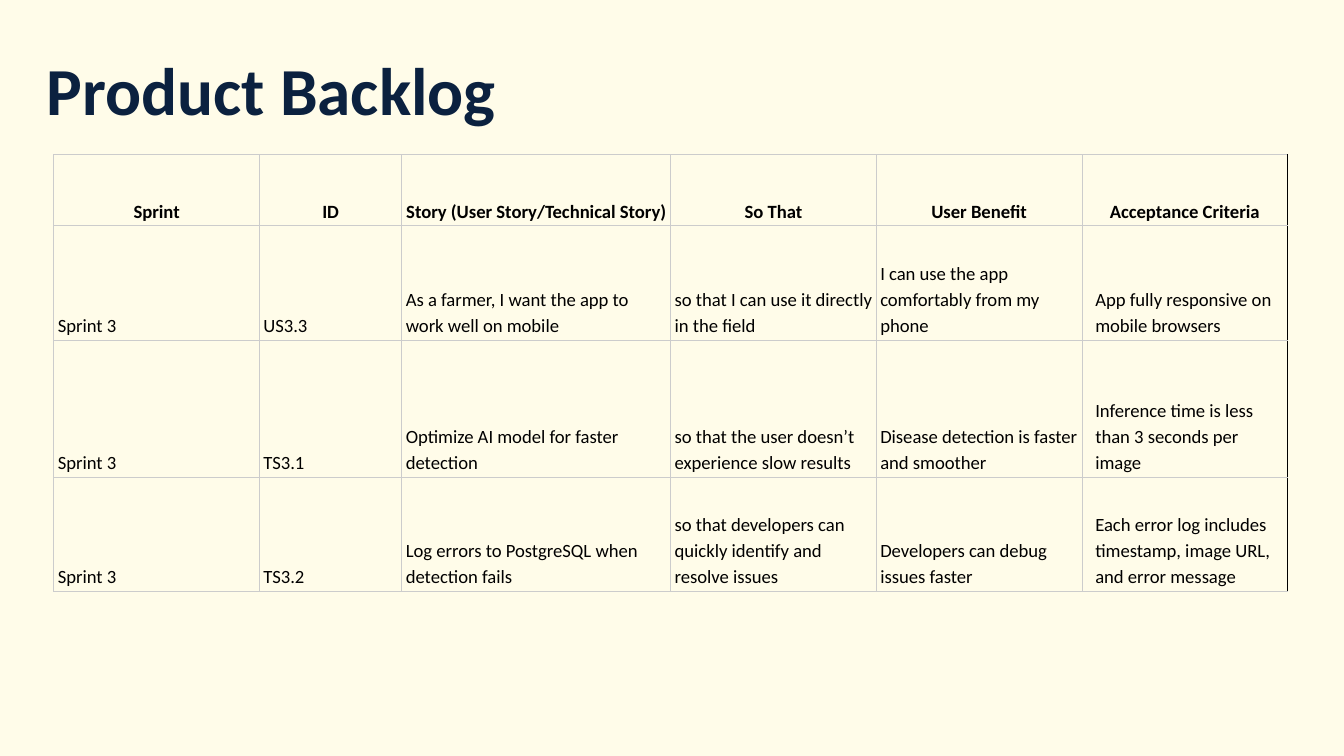
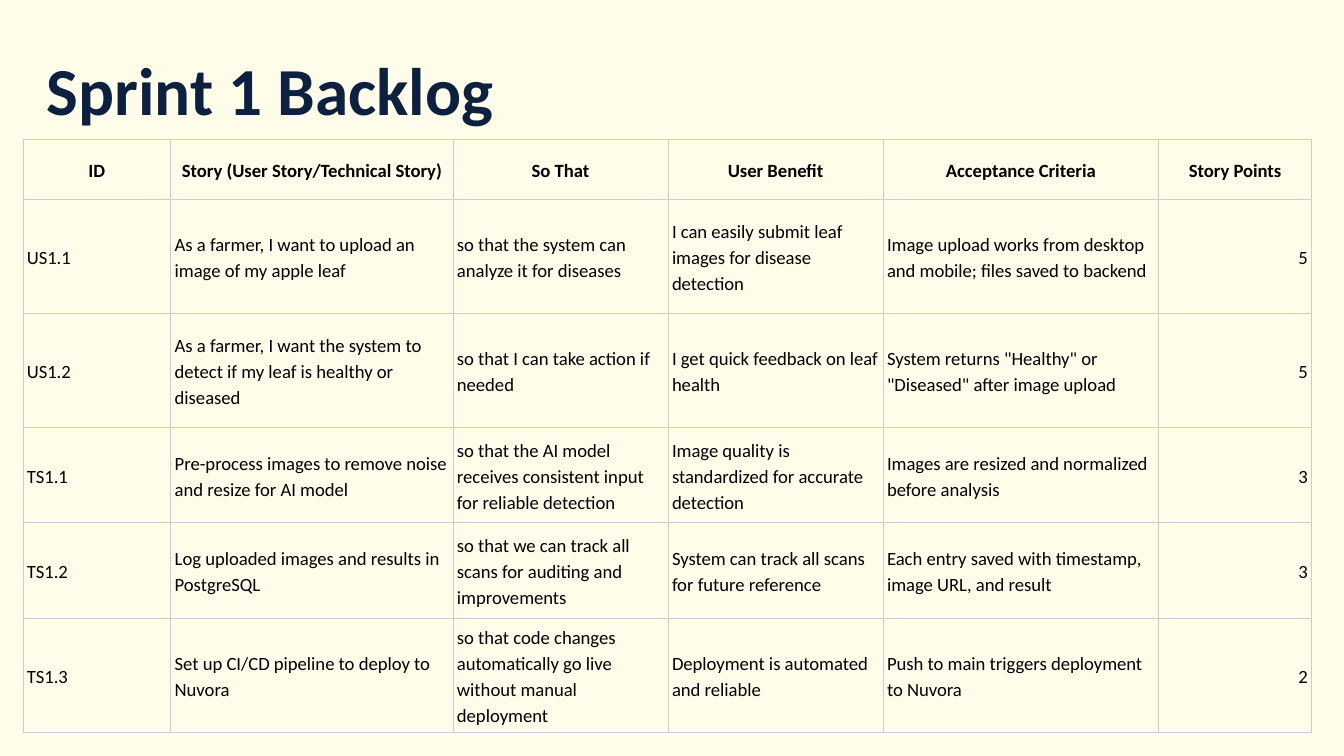
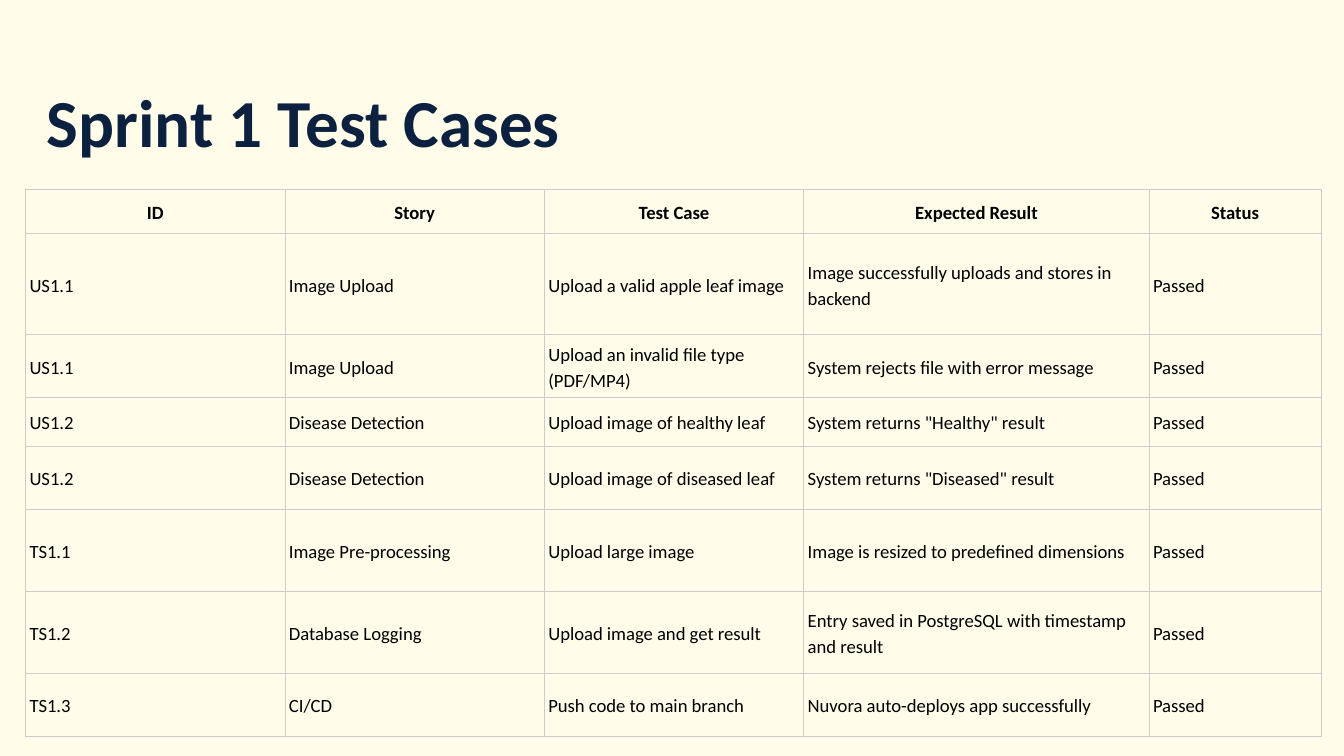
"""Build three backlog slides: a title above a ruled table on cream."""
from lxml import etree
from pptx import Presentation
from pptx import util as u
from pptx.dml import color
from pptx.enum import text
from pptx.oxml import ns

COLOURS = {"cream": "FFFCE9", "navy": "0B213F", "black": "000000", "rule": "CCCCCC"}
FONT = "Calibri"
RULE_WIDTH = u.Pt(0.42)
LEFT, CENTRE, RIGHT = text.PP_ALIGN.LEFT, text.PP_ALIGN.CENTER, text.PP_ALIGN.RIGHT
MIDDLE, BOTTOM = text.MSO_ANCHOR.MIDDLE, text.MSO_ANCHOR.BOTTOM

PRODUCT_ROWS = [
    ["Sprint", "ID", "Story (User Story/Technical Story)", "So That", "User Benefit",
     "Acceptance Criteria"],
    ["Sprint 3", "US3.3", "As a farmer, I want the app to work well on mobile",
     "so that I can use it directly in the field",
     "I can use the app comfortably from my phone",
     "App fully responsive on mobile browsers"],
    ["Sprint 3", "TS3.1", "Optimize AI model for faster detection",
     "so that the user doesn’t experience slow results",
     "Disease detection is faster and smoother",
     "Inference time is less than 3 seconds per image"],
    ["Sprint 3", "TS3.2", "Log errors to PostgreSQL when detection fails",
     "so that developers can quickly identify and resolve issues",
     "Developers can debug issues faster",
     "Each error log includes timestamp, image URL, and error message"],
]

SPRINT_ROWS = [
    ["ID", "Story (User Story/Technical Story)", "So That", "User Benefit",
     "Acceptance Criteria", "Story Points"],
    ["US1.1", "As a farmer, I want to upload an image of my apple leaf",
     "so that the system can analyze it for diseases",
     "I can easily submit leaf images for disease detection",
     "Image upload works from desktop and mobile; files saved to backend", "5"],
    ["US1.2", "As a farmer, I want the system to detect if my leaf is healthy or diseased",
     "so that I can take action if needed",
     "I get quick feedback on leaf health",
     'System returns "Healthy" or "Diseased" after image upload', "5"],
    ["TS1.1", "Pre-process images to remove noise and resize for AI model",
     "so that the AI model receives consistent input for reliable detection",
     "Image quality is standardized for accurate detection",
     "Images are resized and normalized before analysis", "3"],
    ["TS1.2", "Log uploaded images and results in PostgreSQL",
     "so that we can track all scans for auditing and improvements",
     "System can track all scans for future reference",
     "Each entry saved with timestamp, image URL, and result", "3"],
    ["TS1.3", "Set up CI/CD pipeline to deploy to Nuvora",
     "so that code changes automatically go live without manual deployment",
     "Deployment is automated and reliable",
     "Push to main triggers deployment to Nuvora", "2"],
]

TEST_ROWS = [
    ["ID", "Story", "Test Case", "Expected Result", "Status"],
    ["US1.1", "Image Upload", "Upload a valid apple leaf image",
     "Image successfully uploads and stores in backend", "Passed"],
    ["US1.1", "Image Upload", "Upload an invalid file type (PDF/MP4)",
     "System rejects file with error message", "Passed"],
    ["US1.2", "Disease Detection", "Upload image of healthy leaf",
     'System returns "Healthy" result', "Passed"],
    ["US1.2", "Disease Detection", "Upload image of diseased leaf",
     'System returns "Diseased" result', "Passed"],
    ["TS1.1", "Image Pre-processing", "Upload large image",
     "Image is resized to predefined dimensions", "Passed"],
    ["TS1.2", "Database Logging", "Upload image and get result",
     "Entry saved in PostgreSQL with timestamp and result", "Passed"],
    ["TS1.3", "CI/CD", "Push code to main branch",
     "Nuvora auto-deploys app successfully", "Passed"],
]


def add_span(para, words, size, colour, bold):
    """Add one styled run to a paragraph."""
    span = para.add_run()
    span.text = words
    span.font.name = FONT
    span.font.size = u.Pt(size)
    span.font.bold = bold
    span.font.color.rgb = color.RGBColor.from_string(COLOURS[colour])


def add_page(deck, title, top):
    """Add a cream page with its title and return it."""
    page = deck.slides.add_slide(deck.slide_layouts[6])
    fill = page.background.fill
    fill.solid()
    fill.fore_color.rgb = color.RGBColor.from_string(COLOURS["cream"])
    box = page.shapes.add_textbox(u.Inches(0.25), u.Inches(top), u.Inches(4.82), u.Inches(0.48))
    frame = box.text_frame
    frame.word_wrap = True
    frame.margin_left = frame.margin_right = u.Inches(0.1)
    frame.margin_top = frame.margin_bottom = u.Inches(0.1)
    add_span(frame.paragraphs[0], title, 36, "navy", True)
    return page


def rule_cell(cell, right):
    """Draw the four borders of a cell, the right one in its own colour."""
    properties = cell._tc.get_or_add_tcPr()
    for side, colour in (("L", "rule"), ("R", right), ("T", "rule"), ("B", "rule")):
        line = etree.SubElement(properties, ns.qn(f"a:ln{side}"), w=str(RULE_WIDTH))
        solid = etree.SubElement(line, ns.qn("a:solidFill"))
        etree.SubElement(solid, ns.qn("a:srgbClr"), val=COLOURS[colour])


def fill_cell(cell, words, align, anchor, bold, inset, right):
    """Set the borders, margins and text of one cell."""
    rule_cell(cell, right)
    cell.fill.background()
    cell.vertical_anchor = anchor
    cell.margin_left = cell.margin_right = u.Inches(inset)
    cell.margin_top = cell.margin_bottom = u.Inches(0.02)
    para = cell.text_frame.paragraphs[0]
    para.alignment = align
    para.line_spacing = 1.15
    add_span(para, words, 10, "black", bold)


def add_grid(page, left, top, widths, heights, rows, anchor=MIDDLE,
             last_align=LEFT, last_inset=0.03, last_edge="rule"):
    """Add a table with a bold header row and a last column of its own style."""
    grid = page.shapes.add_table(len(rows), len(widths), u.Inches(left), u.Inches(top),
                                 u.Inches(sum(widths)), u.Inches(sum(heights))).table
    grid.first_row = grid.horz_banding = False
    for column, width in zip(grid.columns, widths):
        column.width = u.Inches(width)
    for row, height in zip(grid.rows, heights):
        row.height = u.Inches(height)
    for r, entries in enumerate(rows):
        for c, words in enumerate(entries):
            header, last = r == 0, c == len(widths) - 1
            align = CENTRE if header else last_align if last else LEFT
            fill_cell(grid.cell(r, c), words, align, anchor, header,
                      last_inset if last else 0.03, last_edge if last else "rule")


def main():
    """Build and save the deck."""
    deck = Presentation()
    deck.slide_width = u.Inches(10)
    deck.slide_height = u.Inches(10) * 9 // 16

    page = add_page(deck, "Product Backlog", 0.26)
    add_grid(page, 0.4, 1.15, [1.53, 1.06, 2, 1.53, 1.53, 1.53], [0.53, 0.85, 1.02, 0.85],
             PRODUCT_ROWS, anchor=BOTTOM, last_inset=0.1, last_edge="black")

    page = add_page(deck, "Sprint 1 Backlog", 0.26)
    add_grid(page, 0.17, 1.04, [1.1, 2.1, 1.6, 1.6, 2.05, 1.14],
             [0.44, 0.85, 0.85, 0.71, 0.71, 0.85], SPRINT_ROWS, last_align=RIGHT)

    page = add_page(deck, "Sprint 1 Test Cases", 0.5)
    add_grid(page, 0.19, 1.41, [1.93, 1.93, 1.93, 2.57, 1.28],
             [0.33, 0.75, 0.47, 0.36, 0.47, 0.61, 0.61, 0.47], TEST_ROWS)

    deck.save("out.pptx")


if __name__ == "__main__":
    main()
